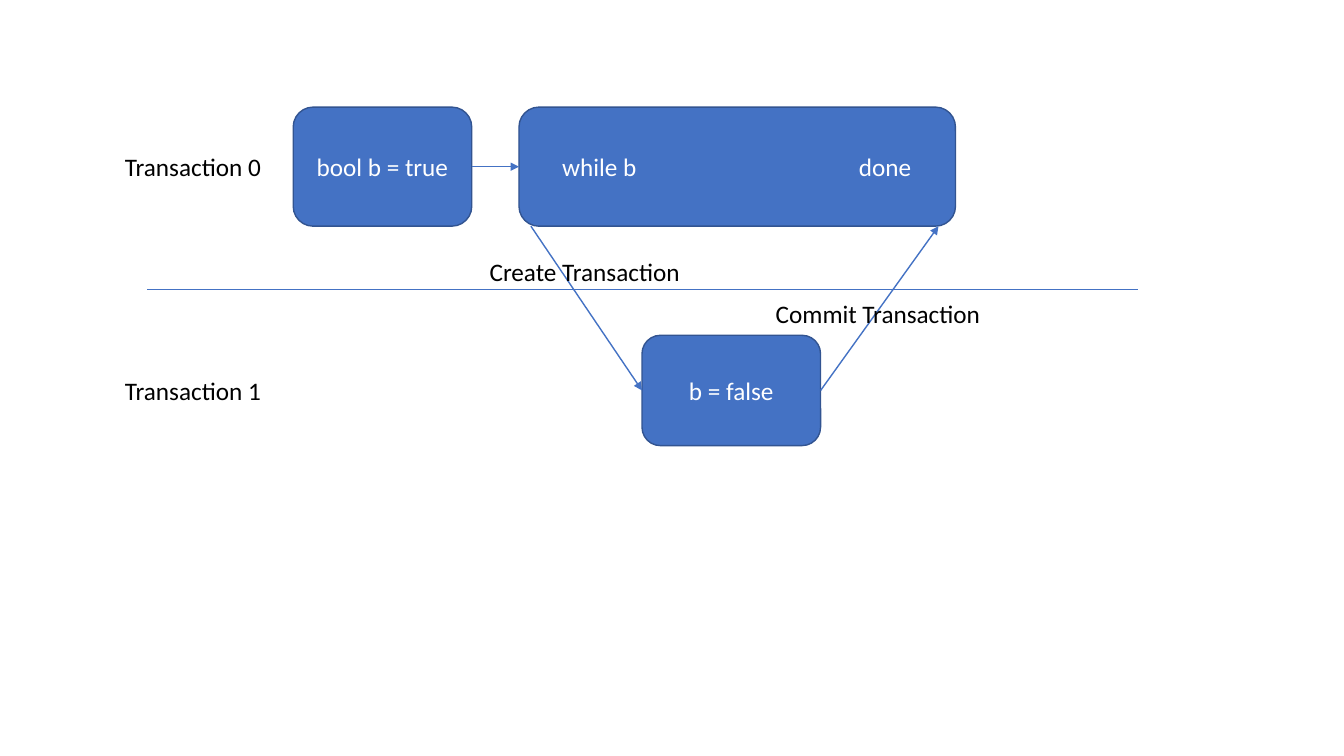
from lxml import etree
from pptx import Presentation
from pptx.dml.color import RGBColor
from pptx.enum import shapes, text
from pptx.oxml import ns
from pptx.util import Cm, Pt

BLUE = RGBColor(0x44, 0x72, 0xC4)
DARK_BLUE = RGBColor(0x32, 0x54, 0x91)
WHITE = RGBColor(0xFF, 0xFF, 0xFF)
BLACK = RGBColor(0, 0, 0)

LABEL_H = 1.02
STEP_W = 4.5


def write(sp, words, color=BLACK, align=text.PP_ALIGN.LEFT, wrap=False):
    tf = sp.text_frame
    tf.word_wrap = wrap
    tf.vertical_anchor = text.MSO_ANCHOR.MIDDLE
    p = tf.paragraphs[0]
    p.alignment = align
    r = p.add_run()
    r.text = words
    r.font.name, r.font.size = "Calibri", Pt(18)
    r.font.color.rgb = color
    return p


def add_label(s, words, left, top, width):
    sp = s.shapes.add_textbox(Cm(left), Cm(top), Cm(width), Cm(LABEL_H))
    write(sp, words)


def add_step(s, words, left, top, width, height, align=text.PP_ALIGN.CENTER):
    """Add a rounded box; return it with its paragraph."""
    sp = s.shapes.add_shape(shapes.MSO_SHAPE.ROUNDED_RECTANGLE,
                            Cm(left), Cm(top), Cm(width), Cm(height))
    sp.shadow.inherit = False
    sp.fill.solid()
    sp.fill.fore_color.rgb = BLUE
    sp.line.color.rgb = DARK_BLUE
    sp.line.width = Pt(1)
    return sp, write(sp, words, WHITE, align, wrap=True)


def add_line(s, start=(0, 0), end=(0, 0), begin=None, finish=None, arrow=True):
    """Draw a line between points in EMU; begin and finish are (shape, site) joints."""
    cn = s.shapes.add_connector(shapes.MSO_CONNECTOR.STRAIGHT, *start, *end)
    if begin:
        cn.begin_connect(*begin)
    if finish:
        cn.end_connect(*finish)
    cn.line.color.rgb = BLUE
    cn.line.width = Pt(1)
    if arrow:
        etree.SubElement(cn.line._get_or_add_ln(), ns.qn("a:tailEnd"), type="triangle")
    etree.SubElement(cn._element.spPr, ns.qn("a:effectLst"))


def add_lane_label(s, words, left, top, height):
    add_label(s, words, left, top + (height - LABEL_H) / 2, 3.99)


def outer_lane(s, left, top, height):
    """Transaction 0: declare the flag, then loop; return the loop box."""
    add_lane_label(s, "Transaction 0", left, top, height)
    declare, _ = add_step(s, "bool b = true", left + 4.49, top, STEP_W, height)
    loop, p = add_step(s, "while b\tdone", left + 10.18, top, 11, height,
                       text.PP_ALIGN.LEFT)
    loop.text_frame.margin_left = Cm(0.94)
    tabs = etree.SubElement(p._p.get_or_add_pPr(), ns.qn("a:tabLst"))
    etree.SubElement(tabs, ns.qn("a:tab"), pos=str(Cm(7.48)), algn="l")
    add_line(s, begin=(declare, 3), finish=(loop, 1))
    return loop


def inner_lane(s, left, top, height):
    """Transaction 1: clear the flag; return its box."""
    add_lane_label(s, "Transaction 1", left, top, height)
    return add_step(s, "b = false", left + 13.28, top, STEP_W, height)[0]


def boundary(s, left, top, width, loop, clear):
    """Draw the line between the lanes and the two arrows that cross it."""
    bottom = loop.top + loop.height
    add_line(s, start=(loop.left + Cm(0.3), bottom), finish=(clear, 1))
    add_line(s, begin=(clear, 3),
             end=(loop.left + loop.width - Cm(0.43), bottom))
    add_line(s, (Cm(left), Cm(top)), (Cm(left + width), Cm(top)), arrow=False)
    add_label(s, "Create Transaction", left + 8.38, top - 0.97, 5.36)
    add_label(s, "Commit Transaction", left + 15.59, top + 0.1, 5.72)


def main():
    prs = Presentation()
    prs.slide_width, prs.slide_height = Cm(33.87), Cm(19.05)
    s = prs.slides.add_slide(prs.slide_layouts[6])
    loop = outer_lane(s, 2.9, 2.7, 3)
    clear = inner_lane(s, 2.9, 8.45, 2.78)
    boundary(s, 3.71, 7.29, 24.97, loop, clear)
    prs.save("out.pptx")


if __name__ == "__main__":
    main()
